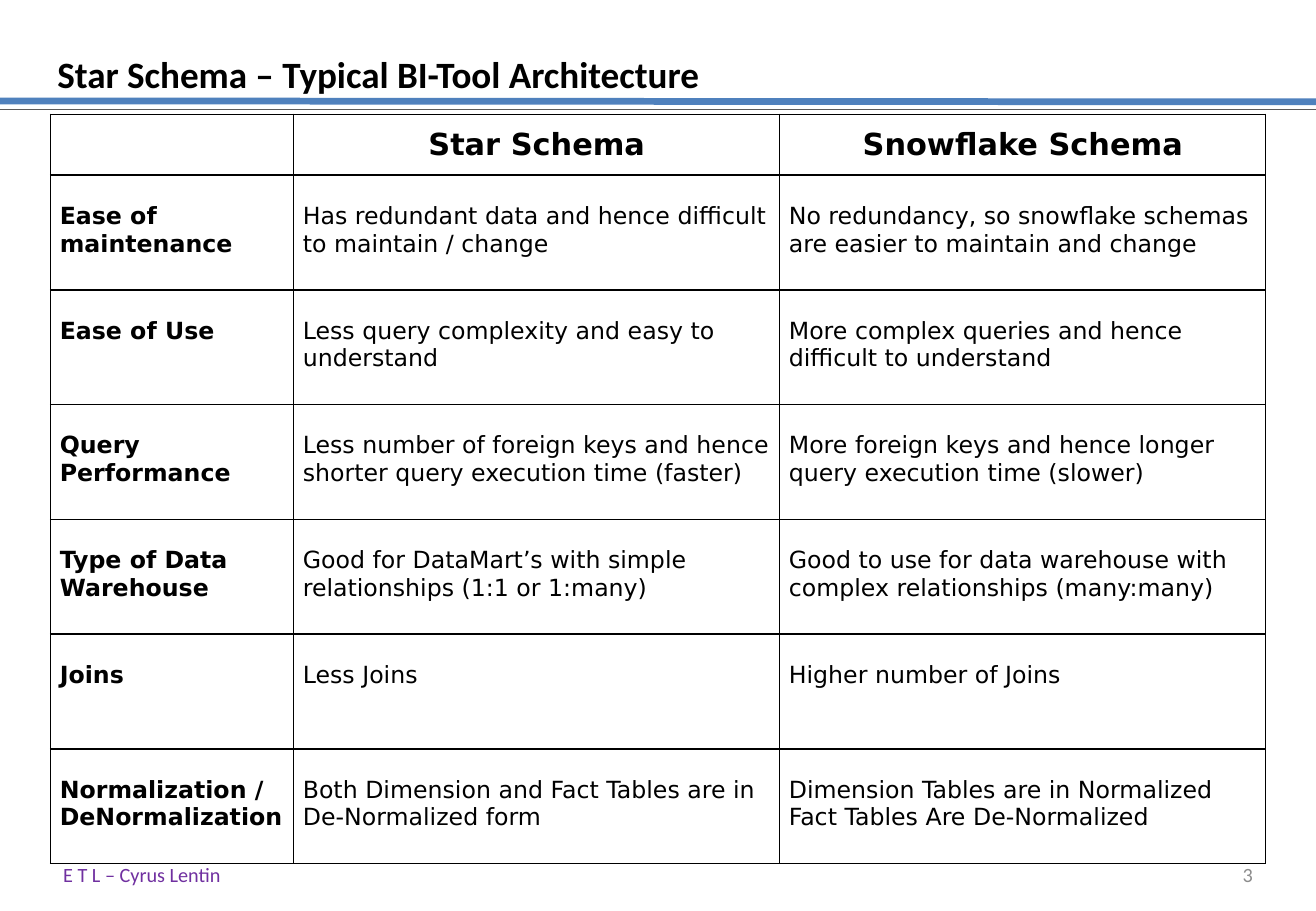
from lxml.etree import SubElement
from pptx import Presentation
from pptx.dml.color import RGBColor
from pptx.enum.shapes import MSO_CONNECTOR
from pptx.enum.text import MSO_ANCHOR, PP_ALIGN
from pptx.oxml.ns import qn
from pptx.util import Cm, Pt

COLORS = {
    "text": "000000",
    "border": "000000",
    "background": "FFFFFF",
    "blue": "4F81BD",
    "gray": "595959",
    "footer": "7030A0",
    "number": "8C8C8C",
}


def write_text(paragraph, text, color, alignment=PP_ALIGN.LEFT, **font_format):
    paragraph.alignment = alignment
    run = paragraph.add_run()
    run.text = text
    run.font.color.rgb = RGBColor.from_string(COLORS[color])
    for name, value in font_format.items():
        setattr(run.font, name, value)


def add_border(cell):
    properties = cell._tc.get_or_add_tcPr()
    for position, side in enumerate(("a:lnL", "a:lnR", "a:lnT", "a:lnB")):
        line = properties.makeelement(qn(side), {"w": str(Pt(1))})
        fill = SubElement(line, qn("a:solidFill"))
        SubElement(fill, qn("a:srgbClr"), val=COLORS["border"])
        properties.insert(position, line)


presentation = Presentation()
presentation.slide_width = Cm(27.51)
presentation.slide_height = Cm(19.05)
slide = presentation.slides.add_slide(presentation.slide_layouts[6])

rules = [(2.11, 2.13, "blue", 4), (2.29, 2.29, "gray", 1)]
for start, end, color, width in rules:
    connector = slide.shapes.add_connector(
        MSO_CONNECTOR.STRAIGHT, Cm(0), Cm(start), presentation.slide_width, Cm(end)
    )
    connector.line.color.rgb = RGBColor.from_string(COLORS[color])
    connector.line.width = Pt(width)
    SubElement(connector._element.spPr, qn("a:effectLst"))

labels = [
    ("Star Schema – Typical BI-Tool Architecture", (1.07, 0.18, 25.4, 1.95), 0.13,
     MSO_ANCHOR.BOTTOM, PP_ALIGN.LEFT, "text", {"size": Pt(22), "bold": True}),
    ("E T L – Cyrus Lentin", (1.07, 17.98, 8.69, 0.69), 0.25,
     MSO_ANCHOR.MIDDLE, PP_ALIGN.LEFT, "footer", {"size": Pt(12)}),
    ("3", (19.71, 17.98, 6.73, 0.69), 0.25,
     MSO_ANCHOR.MIDDLE, PP_ALIGN.RIGHT, "number", {"size": Pt(12)}),
]
for text, box, margin, anchor, alignment, color, font_format in labels:
    shape = slide.shapes.add_textbox(*[Cm(length) for length in box])
    frame_format = {
        "word_wrap": True,
        "vertical_anchor": anchor,
        "margin_left": Cm(margin),
        "margin_right": Cm(margin),
        "margin_top": Cm(0.13),
        "margin_bottom": Cm(0.13),
    }
    for name, value in frame_format.items():
        setattr(shape.text_frame, name, value)
    paragraph = shape.text_frame.paragraphs[0]
    paragraph.line_spacing = font_format["size"]
    write_text(paragraph, text, color, alignment, name="Calibri", **font_format)

comparison = [
    ("", "Star Schema", "Snowflake Schema"),
    ("Ease of maintenance",
     "Has redundant data and hence difficult to maintain / change",
     "No redundancy, so snowflake schemas are easier to maintain and change"),
    ("Ease of Use",
     "Less query complexity and easy to understand",
     "More complex queries and hence difficult to understand"),
    ("Query Performance",
     "Less number of foreign keys and hence shorter query execution time (faster)",
     "More foreign keys and hence longer query execution time (slower)"),
    ("Type of Data Warehouse",
     "Good for DataMart’s with simple relationships (1:1 or 1:many)",
     "Good to use for data warehouse with complex relationships (many:many)"),
    ("Joins", "Less Joins", "Higher number of Joins"),
    ("Normalization / DeNormalization",
     "Both Dimension and Fact Tables are in De-Normalized form",
     "Dimension Tables are in Normalized Fact Tables Are De-Normalized"),
]
column_widths = [5.08, 10.16, 10.16]
row_heights = [1.27] + [2.4] * 6
table = slide.shapes.add_table(
    len(comparison), len(column_widths),
    Cm(1.06), Cm(2.39), Cm(sum(column_widths)), Cm(sum(row_heights)),
).table
for column, width in zip(table.columns, column_widths):
    column.width = Cm(width)
for row, height in zip(table.rows, row_heights):
    row.height = Cm(height)

for row_index, texts in enumerate(comparison):
    header = row_index == 0
    for column_index, text in enumerate(texts):
        cell = table.cell(row_index, column_index)
        cell_format = {
            "margin_left": Cm(0.19),
            "margin_right": Cm(0.19),
            "margin_top": Cm(0 if header else 0.57),
            "margin_bottom": Cm(0),
            "vertical_anchor": MSO_ANCHOR.MIDDLE if header else MSO_ANCHOR.TOP,
        }
        for name, value in cell_format.items():
            setattr(cell, name, value)
        cell.fill.solid()
        cell.fill.fore_color.rgb = RGBColor.from_string(COLORS["background"])
        add_border(cell)
        if text:
            write_text(
                cell.text_frame.paragraphs[0], text, "text",
                PP_ALIGN.CENTER if header else PP_ALIGN.LEFT,
                name="DejaVu Sans",
                size=Pt(18 if header else 14),
                bold=header or column_index == 0,
            )

presentation.save("out.pptx")
